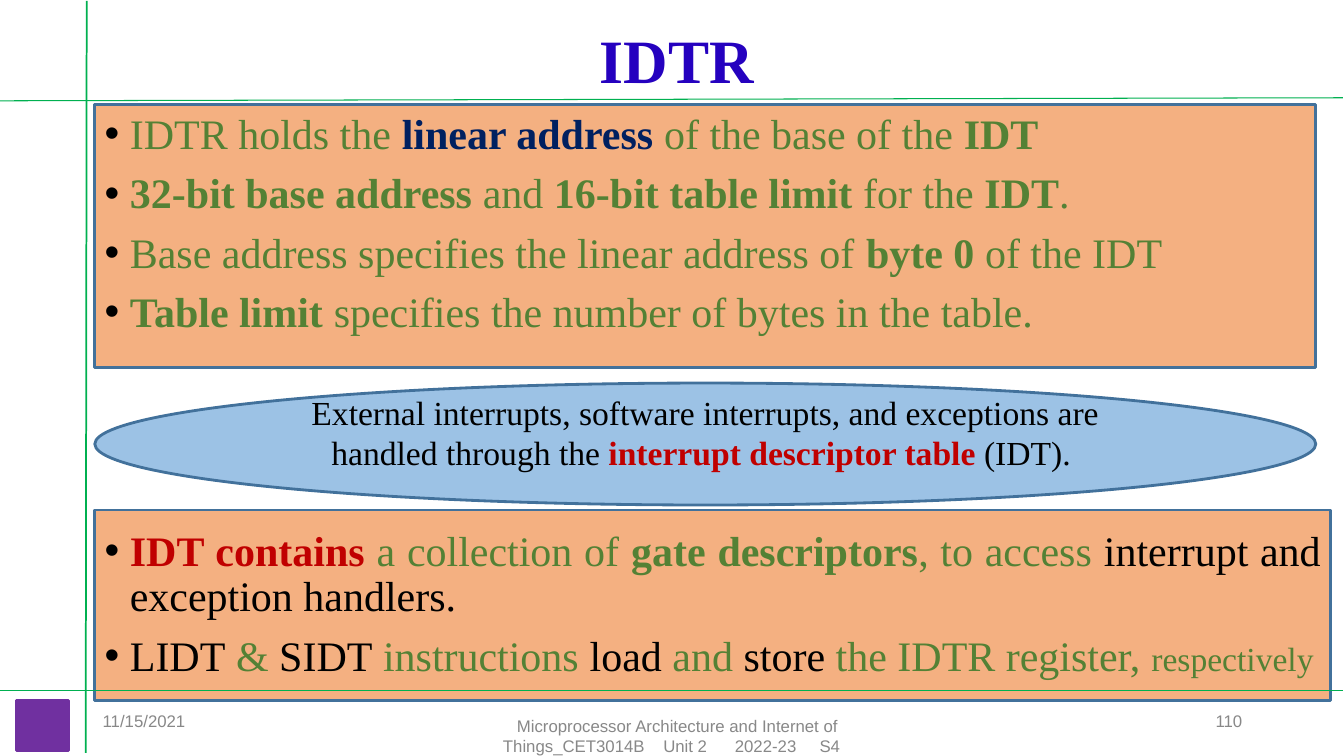
from lxml import etree
from pptx import Presentation
from pptx.dml.color import RGBColor
from pptx.enum import shapes, text
from pptx.oxml import ns
from pptx.util import Inches, Pt

SERIF, SANS = "Times New Roman", "Arial"
GREEN, NAVY, RED, BLACK, GREY = "548135", "002060", "C00000", "000000", "888888"
ORANGE, BLUE, EDGE, RULE, PURPLE = "F4B081", "9CC2E5", "42719B", "00B050", "7030A0"
ALIGN = text.PP_ALIGN


def rgb(value):
    return RGBColor.from_string(value)


def write(p, runs, size, font, align):
    p.alignment = align
    for words, color, bold, *own_size in runs:
        r = p.add_run()
        r.text = words
        r.font.name = font
        r.font.size = Pt(own_size[0] if own_size else size)
        r.font.bold = bold
        r.font.color.rgb = rgb(color)


prs = Presentation()
prs.slide_width, prs.slide_height = Inches(13.33), Inches(7.5)
s = prs.slides.add_slide(prs.slide_layouts[6])

labels = [
    ((4.02, 0.31, 5.39, 0.64), ["IDTR"], 44, SERIF, "2501BF", True, ALIGN.CENTER),
    ((0.92, 6.95, 3, 0.4), ["11/15/2021"], 12, SANS, GREY, False, ALIGN.LEFT),
    ((9.42, 6.95, 3, 0.4), ["110"], 12, SANS, GREY, False, ALIGN.RIGHT),
    ((4.89, 7.1, 3.66, 0.4),
     ["Microprocessor Architecture and Internet of",
      "Things_CET3014B\tUnit 2\t2022-23\tS4"], 12, SANS, GREY, False, ALIGN.CENTER),
]
for box, lines, size, font, color, bold, align in labels:
    tf = s.shapes.add_textbox(*map(Inches, box)).text_frame
    tf.word_wrap = True
    tf.vertical_anchor = text.MSO_ANCHOR.MIDDLE
    for i, line in enumerate(lines):
        p = tf.add_paragraph() if i else tf.paragraphs[0]
        if "\t" in line:
            align = ALIGN.LEFT
            tabs = etree.SubElement(p._p.get_or_add_pPr(), ns.qn("a:tabLst"))
            for stop in (1.59, 2.3, 3.14):
                etree.SubElement(tabs, ns.qn("a:tab"), pos=str(Inches(stop)), algn="l")
        write(p, [(line, color, bold)], size, font, align)
    if size == 44:
        p.line_spacing = 0.9

register_points = [
    [("IDTR holds the ", GREEN, False), ("linear address ", NAVY, True),
     ("of the base of the ", GREEN, False), ("IDT ", GREEN, True)],
    [("32-bit base address ", GREEN, True), ("and ", GREEN, False),
     ("16-bit table limit ", GREEN, True), ("for the ", GREEN, False),
     ("IDT", GREEN, True), (".", GREEN, False)],
    [("Base address specifies the linear address of ", GREEN, False),
     ("byte 0", GREEN, True), (" of the IDT", GREEN, False)],
    [("Table limit ", GREEN, True),
     ("specifies the number of bytes in the table.", GREEN, False)],
]
interrupt_note = [
    [("External interrupts, software interrupts, and exceptions are handled through the ",
      BLACK, False),
     ("interrupt descriptor table ", RED, True), ("(IDT). ", BLACK, False)],
]
table_points = [
    [("IDT contains ", RED, True), ("a collection of ", GREEN, False),
     ("gate descriptors", GREEN, True), (", to access ", GREEN, False),
     ("interrupt and exception handlers. ", BLACK, False)],
    [("LIDT", BLACK, False), (" & ", GREEN, False), ("SIDT", BLACK, False),
     (" instructions ", GREEN, False), ("load", BLACK, False), (" and ", GREEN, False),
     ("store", BLACK, False), (" the IDTR register, ", GREEN, False),
     ("respectively", GREEN, False, 24)],
]
RECT, OVAL = shapes.MSO_SHAPE.RECTANGLE, shapes.MSO_SHAPE.OVAL
panels = [
    (RECT, (0.94, 1.04, 12.11, 2.61), ORANGE, EDGE, register_points, 0.28),
    (OVAL, (0.94, 3.8, 12.11, 1.21), BLUE, EDGE, interrupt_note, 0.28),
    (RECT, (0.94, 5.06, 12.26, 1.89), ORANGE, EDGE, table_points, 0.05),
    (RECT, (0.16, 6.95, 0.52, 0.5), PURPLE, PURPLE, [], 0.05),
]
for kind, box, fill, edge, points, bottom in panels:
    sp = s.shapes.add_shape(kind, *map(Inches, box))
    sp.shadow.inherit = False
    sp.fill.solid()
    sp.fill.fore_color.rgb = rgb(fill)
    sp.line.color.rgb = rgb(edge)
    sp.line.width = Pt(2)
    tf = sp.text_frame
    tf.word_wrap = True
    tf.vertical_anchor = text.MSO_ANCHOR.MIDDLE
    tf.margin_bottom = Inches(bottom)
    for i, runs in enumerate(points):
        p = tf.add_paragraph() if i else tf.paragraphs[0]
        if kind == OVAL:
            write(p, runs, 24, SERIF, ALIGN.CENTER)
            continue
        pPr = p._p.get_or_add_pPr()
        pPr.set("marL", str(Inches(0.25)))
        pPr.set("indent", str(-Inches(0.25)))
        bullet_color = etree.SubElement(pPr, ns.qn("a:buClr"))
        etree.SubElement(bullet_color, ns.qn("a:srgbClr"), val=BLACK)
        etree.SubElement(pPr, ns.qn("a:buFont"), typeface=SANS)
        etree.SubElement(pPr, ns.qn("a:buChar"), char="•")
        p.line_spacing = 0.9
        if i:
            p.space_before = Pt(10)
        write(p, runs, 30, SERIF, ALIGN.JUSTIFY)

rules = [
    ((-0.01, 1, 13.32, 0.97), 0.75),
    ((0.86, 0.01, 0.85, 7.47), 1.25),
    ((-0.01, 6.85, 13.32, 6.85), 1.25),
]
for ends, width in rules:
    line = s.shapes.add_connector(shapes.MSO_CONNECTOR.STRAIGHT, *map(Inches, ends))
    line.line.color.rgb = rgb(RULE)
    line.line.width = Pt(width)
    etree.SubElement(line._element.spPr, ns.qn("a:effectLst"))

prs.save("out.pptx")
